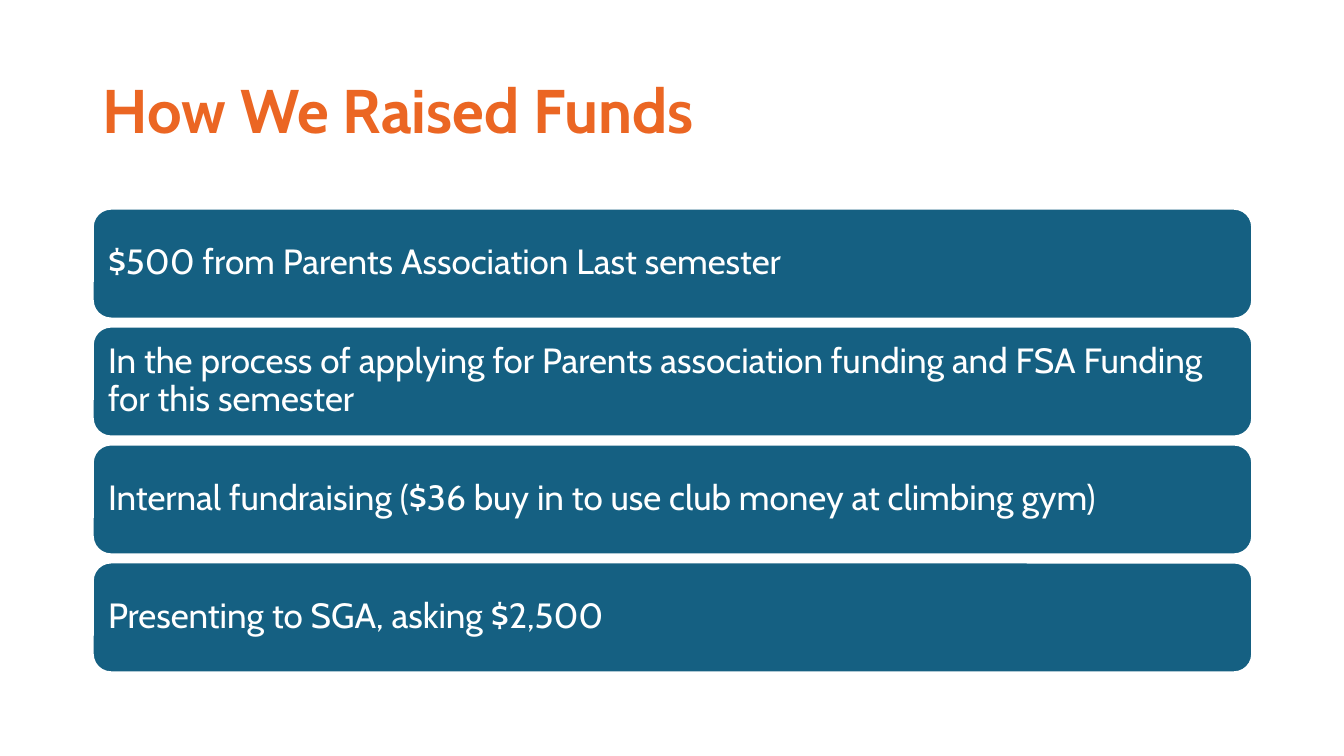
from pptx import Presentation
from pptx.dml.color import RGBColor
from pptx.enum.shapes import MSO_SHAPE
from pptx.enum.text import MSO_ANCHOR, PP_ALIGN
from pptx.util import Inches, Pt

COLORS = {"title": "EB6623", "card": "156082", "white": "FFFFFF"}
LEFT, WIDTH = 0.92, 11.5
CARD_TOP, CARD_HEIGHT, CARD_STEP = 2.07, 1.09, 1.17
FUNDING_SOURCES = [
    "$500 from Parents Association Last semester",
    "In the process of applying for Parents association funding and FSA Funding for this semester",
    "Internal fundraising ($36 buy in to use club money at climbing gym)",
    "Presenting to SGA, asking $2,500",
]


def write_text(shape, text, size, color, bold=False):
    frame = shape.text_frame
    frame.text = text
    frame.word_wrap = True
    frame.vertical_anchor = MSO_ANCHOR.MIDDLE
    para = frame.paragraphs[0]
    para.alignment = PP_ALIGN.LEFT
    para.line_spacing = 0.9
    span = para.runs[0]
    span.font.name = "Cabin"
    span.font.size = Pt(size)
    span.font.bold = bold
    span.font.color.rgb = RGBColor.from_string(COLORS[color])


deck = Presentation()
deck.slide_width = Inches(13.33)
deck.slide_height = Inches(7.5)
page = deck.slides.add_slide(deck.slide_layouts[5])

title = page.shapes.title
title.left, title.top = Inches(LEFT), Inches(0.4)
title.width, title.height = Inches(WIDTH), Inches(1.45)
write_text(title, "How We Raised Funds", 44, "title", bold=True)

for index, source in enumerate(FUNDING_SOURCES):
    card = page.shapes.add_shape(
        MSO_SHAPE.ROUNDED_RECTANGLE,
        Inches(LEFT), Inches(CARD_TOP + index * CARD_STEP),
        Inches(WIDTH), Inches(CARD_HEIGHT),
    )
    card.shadow.inherit = False
    card.fill.solid()
    card.fill.fore_color.rgb = RGBColor.from_string(COLORS["card"])
    card.line.color.rgb = RGBColor.from_string(COLORS["white"])
    card.line.width = Pt(1.5)
    frame = card.text_frame
    frame.margin_left = frame.margin_right = Inches(0.1)
    frame.margin_top = frame.margin_bottom = Inches(0.1)
    write_text(card, source, 25, "white")

deck.save("out.pptx")
